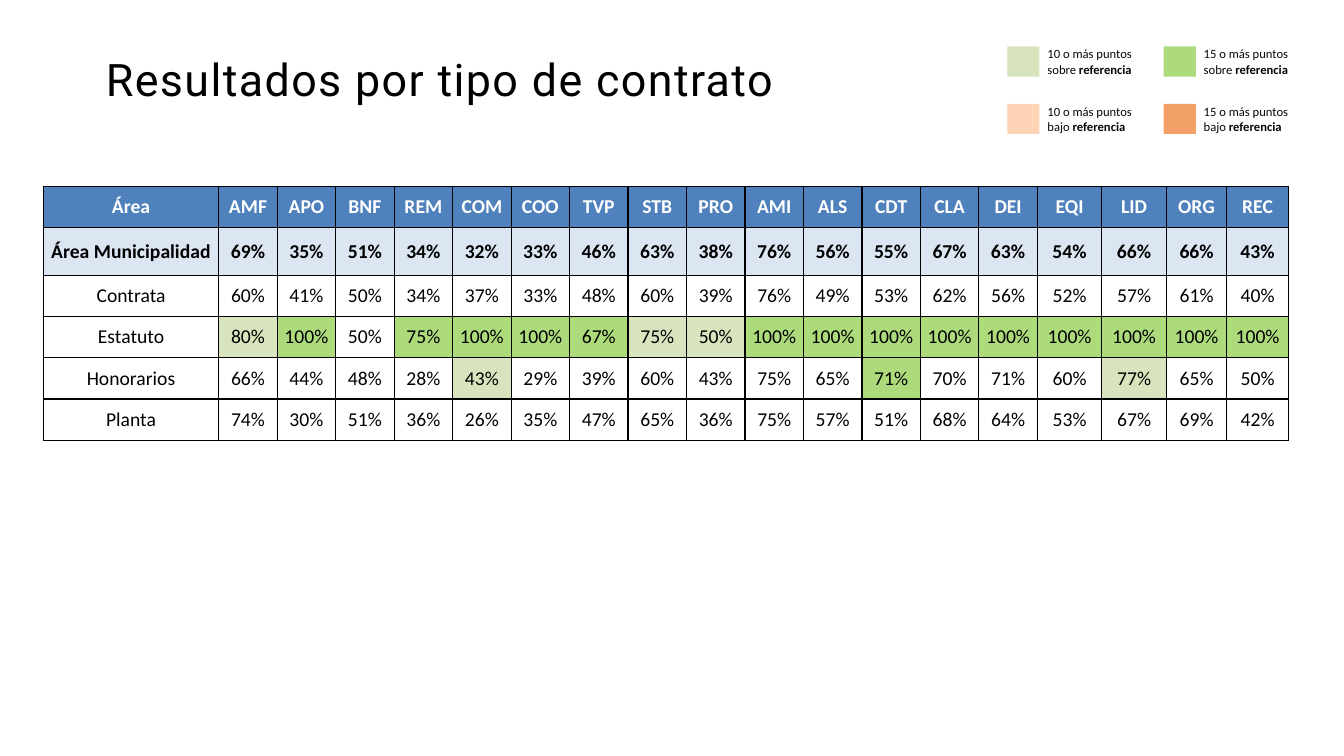
from lxml import etree
from pptx import Presentation
from pptx.dml.color import RGBColor
from pptx.enum.shapes import MSO_SHAPE
from pptx.enum.text import MSO_ANCHOR, PP_ALIGN
from pptx.oxml.ns import qn
from pptx.util import Inches, Pt

RECTANGLE = MSO_SHAPE.RECTANGLE
MIDDLE = MSO_ANCHOR.MIDDLE
CENTER = PP_ALIGN.CENTER

BLACK = RGBColor(0x00, 0x00, 0x00)
WHITE = RGBColor(0xFF, 0xFF, 0xFF)
LEGEND_TEXT = RGBColor(0x07, 0x08, 0x0B)
HEADER_BLUE = RGBColor(0x4F, 0x81, 0xBD)
REFERENCE_BLUE = RGBColor(0xDC, 0xE6, 0xF2)
ABOVE_10 = RGBColor(0xD7, 0xE4, 0xBD)
ABOVE_15 = RGBColor(0xAD, 0xDB, 0x7B)
BELOW_10 = RGBColor(0xFD, 0xD4, 0xB5)
BELOW_15 = RGBColor(0xF2, 0xA0, 0x68)

HEADERS = ["Área", "AMF", "APO", "BNF", "REM", "COM", "COO", "TVP", "STB", "PRO",
           "AMI", "ALS", "CDT", "CLA", "DEI", "EQI", "LID", "ORG", "REC"]
REFERENCE = [69, 35, 51, 34, 32, 33, 46, 63, 38, 76, 56, 55, 67, 63, 54, 66, 66, 43]
CONTRACTS = {
    "Contrata": [60, 41, 50, 34, 37, 33, 48, 60, 39, 76, 49, 53, 62, 56, 52, 57, 61, 40],
    "Estatuto": [80, 100, 50, 75, 100, 100, 67, 75, 50] + [100] * 9,
    "Honorarios": [66, 44, 48, 28, 43, 29, 39, 60, 43, 75, 65, 71, 70, 71, 60, 77, 65, 50],
    "Planta": [74, 30, 51, 36, 26, 35, 47, 65, 36, 75, 57, 51, 68, 64, 53, 67, 69, 42],
}
COLUMN_WIDTHS = [1.74] + [0.58] * 14 + [0.64, 0.64, 0.6, 0.61]
ROW_HEIGHTS = [0.41, 0.47] + [0.41] * 4


def add_span(para, text, size, color, bold=False, font="Calibri"):
    span = para.add_run()
    span.text = text
    span.font.name = font
    span.font.size = Pt(size)
    span.font.bold = bold
    span.font.color.rgb = color
    return span


def add_box(page, left, top, width, height):
    box = page.shapes.add_textbox(Inches(left), Inches(top), Inches(width), Inches(height))
    box.text_frame.word_wrap = True
    return box.text_frame


def add_title(page, text):
    frame = add_box(page, 1.05, 0.35, 9.23, 0.92)
    frame.vertical_anchor = MIDDLE
    frame.margin_left = frame.margin_right = frame.margin_top = frame.margin_bottom = 0
    para = frame.paragraphs[0]
    para.line_spacing = 0.9
    span = add_span(para, text, 32, BLACK, font="Roboto")
    span.font._element.set("spc", "100")


def add_legend_entry(page, left, top, color, text):
    swatch = page.shapes.add_shape(RECTANGLE, Inches(left), Inches(top),
                                   Inches(0.32), Inches(0.3))
    swatch.shadow.inherit = False
    swatch.fill.solid()
    swatch.fill.fore_color.rgb = color
    swatch.line.fill.background()
    para = add_box(page, left + 0.3, top - 0.05, 1.12, 0.4).paragraphs[0]
    add_span(para, text, 9, LEGEND_TEXT)
    add_span(para, "referencia", 9, LEGEND_TEXT, bold=True)


def set_borders(cell):
    properties = cell._tc.get_or_add_tcPr()
    for position, side in enumerate(("a:lnL", "a:lnR", "a:lnT", "a:lnB")):
        line = etree.Element(qn(side), w=str(Pt(1)))
        fill = etree.SubElement(line, qn("a:solidFill"))
        etree.SubElement(fill, qn("a:srgbClr"), val=str(BLACK))
        properties.insert(position, line)


def fill_cell(cell, text, fill, color=BLACK, bold=False):
    cell.margin_left = cell.margin_right = cell.margin_top = cell.margin_bottom = 0
    cell.vertical_anchor = MIDDLE
    para = cell.text_frame.paragraphs[0]
    para.alignment = CENTER
    add_span(para, text, 14, color, bold)
    if fill is None:
        cell.fill.background()
    else:
        cell.fill.solid()
        cell.fill.fore_color.rgb = fill
    set_borders(cell)


def highlight(value, reference):
    """Colour for the distance in points from the reference."""
    gap = value - reference
    if abs(gap) < 10:
        return None
    if gap > 0:
        return ABOVE_15 if gap >= 15 else ABOVE_10
    return BELOW_15 if gap <= -15 else BELOW_10


def add_results_table(page):
    table = page.shapes.add_table(
        len(ROW_HEIGHTS), len(COLUMN_WIDTHS), Inches(0.43), Inches(1.85),
        Inches(sum(COLUMN_WIDTHS)), Inches(sum(ROW_HEIGHTS))).table
    for column, width in zip(table.columns, COLUMN_WIDTHS):
        column.width = Inches(width)
    for row, height in zip(table.rows, ROW_HEIGHTS):
        row.height = Inches(height)

    # Header and reference rows
    reference_row = ["Área Municipalidad"] + [f"{value}%" for value in REFERENCE]
    for column, (header, value) in enumerate(zip(HEADERS, reference_row)):
        fill_cell(table.cell(0, column), header, HEADER_BLUE, WHITE, bold=True)
        fill_cell(table.cell(1, column), value, REFERENCE_BLUE, bold=True)

    # One row per contract type
    for row, (name, values) in enumerate(CONTRACTS.items(), start=2):
        fill_cell(table.cell(row, 0), name, None)
        for column, (value, reference) in enumerate(zip(values, REFERENCE), start=1):
            fill_cell(table.cell(row, column), f"{value}%", highlight(value, reference))


def main():
    deck = Presentation()
    deck.slide_width, deck.slide_height = Inches(13.33), Inches(7.5)
    page = deck.slides.add_slide(deck.slide_layouts[6])

    add_title(page, "Resultados por tipo de contrato")
    add_results_table(page)

    # Legend
    for left, points, above, below in ((9.99, 10, ABOVE_10, BELOW_10),
                                       (11.54, 15, ABOVE_15, BELOW_15)):
        add_legend_entry(page, left, 0.46, above, f"{points} o más puntos sobre ")
        add_legend_entry(page, left, 1.03, below, f"{points} o más puntos bajo ")

    deck.save("out.pptx")


if __name__ == "__main__":
    main()
